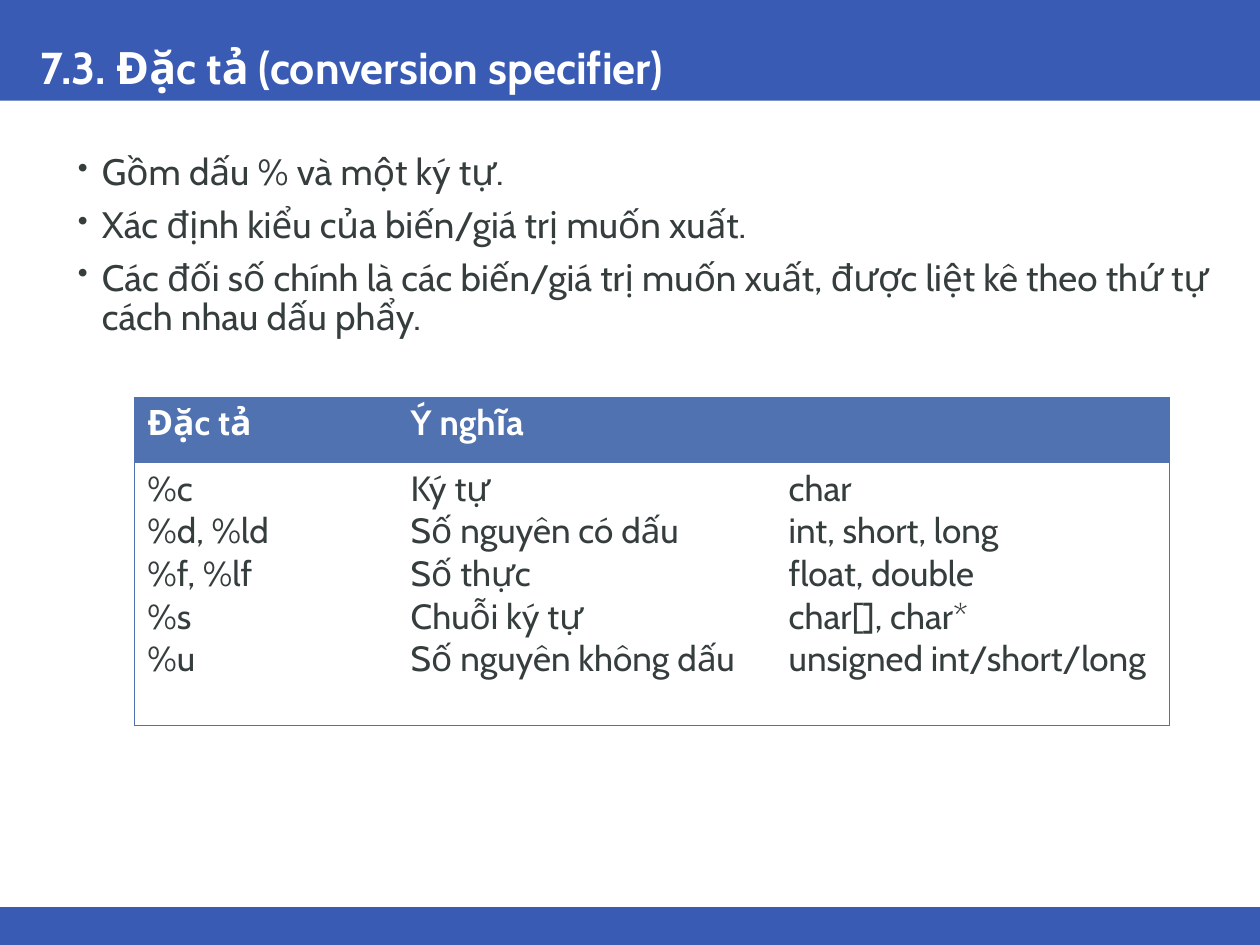
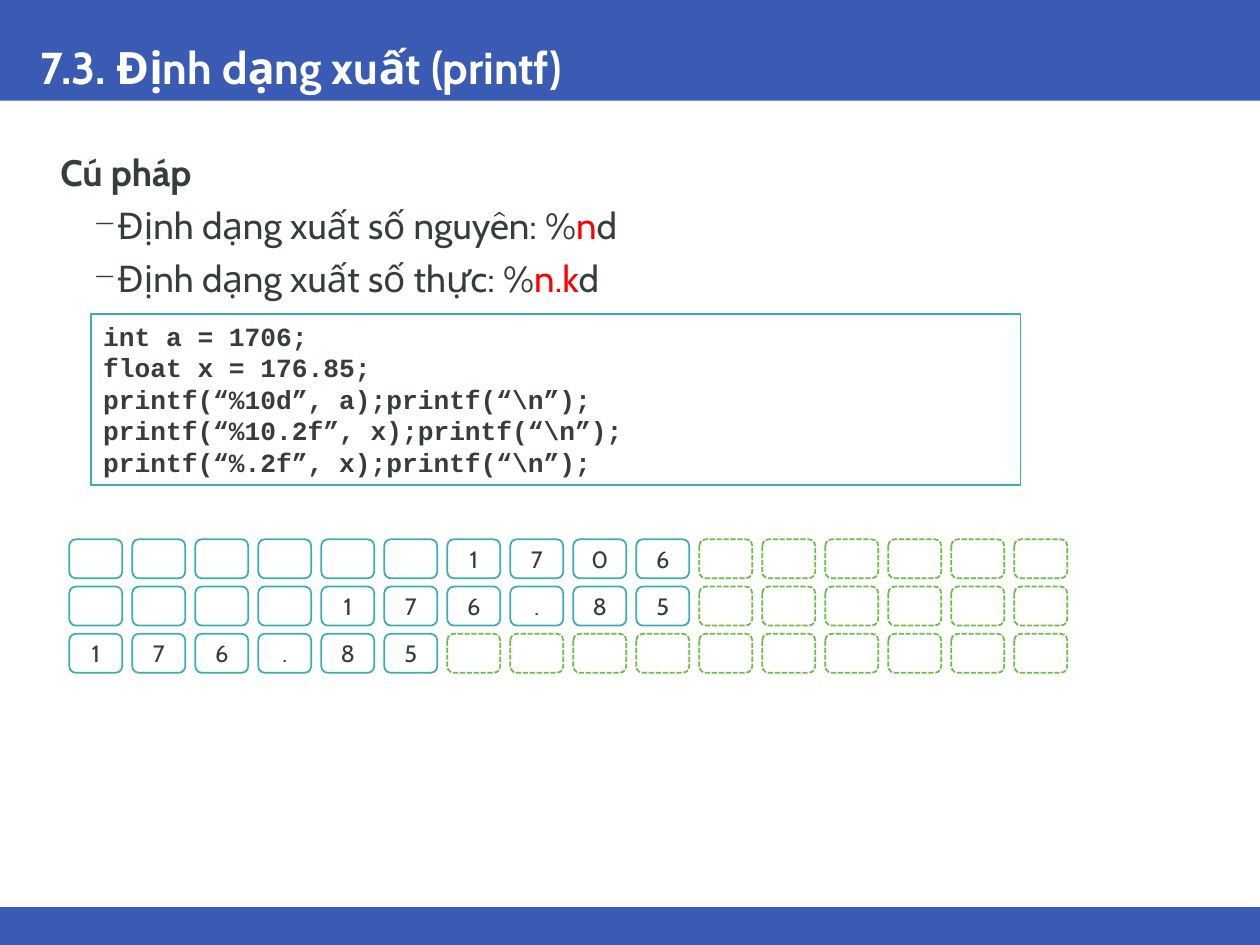
from dataclasses import dataclass

from lxml import etree
from pptx import Presentation
from pptx.dml.color import RGBColor
from pptx.enum.dml import MSO_LINE
from pptx.enum.shapes import MSO_SHAPE
from pptx.enum.text import MSO_ANCHOR, MSO_AUTO_SIZE, PP_ALIGN
from pptx.oxml.ns import qn
from pptx.util import Inches, Pt

RECTANGLE = MSO_SHAPE.RECTANGLE
ROUNDED = MSO_SHAPE.ROUNDED_RECTANGLE
DASHED = MSO_LINE.SQUARE_DOT
TOP, MIDDLE, BOTTOM = MSO_ANCHOR.TOP, MSO_ANCHOR.MIDDLE, MSO_ANCHOR.BOTTOM
LEFT, CENTER = PP_ALIGN.LEFT, PP_ALIGN.CENTER
GROW = MSO_AUTO_SIZE.SHAPE_TO_FIT_TEXT


@dataclass(frozen=True)
class Theme:
    band: str = "3A5BB3"
    table: str = "5172B1"
    text: str = "363D3D"
    white: str = "FFFFFF"
    accent: str = "FF0000"
    used: str = "3AAFB2"
    unused: str = "6ABD45"
    font: str = "Cabin"
    code_font: str = "Courier New"
    title_size: float = 25.5
    body_size: float = 21
    table_size: float = 20
    code_size: float = 15
    digit_size: float = 13.5


THEME = Theme()

SPECIFIER_HEADER = ["Đặc tả", "Ý nghĩa", ""]
SPECIFIERS = [
    ("%c", "Ký tự", "char"),
    ("%d, %ld", "Số nguyên có dấu", "int, short, long"),
    ("%f, %lf", "Số thực", "float, double"),
    ("%s", "Chuỗi ký tự", "char[], char*"),
    ("%u", "Số nguyên không dấu", "unsigned int/short/long"),
]
PRINTF_CODE = [
    "int a = 1706;",
    "float x = 176.85;",
    r"printf(“%10d”, a);printf(“\n”);",
    r"printf(“%10.2f”, x);printf(“\n”);",
    r"printf(“%.2f”, x);printf(“\n”);",
]
PRINTED_LINES = ["1706".rjust(10), "176.85".rjust(10), "176.85"]
PRINT_COLUMNS = 16


def rgb(value):
    return RGBColor.from_string(value)


def format_run(run, size, color=THEME.text, bold=False, font=THEME.font):
    run.font.name = font
    run.font.size = Pt(size)
    run.font.bold = bold
    run.font.color.rgb = rgb(color)


def add_box(slide, kind, box, fill, line=None):
    shape = slide.shapes.add_shape(kind, *map(Inches, box))
    shape.shadow.inherit = False
    shape.fill.solid()
    shape.fill.fore_color.rgb = rgb(fill)
    if line:
        shape.line.color.rgb = rgb(line)
        shape.line.width = Pt(1)
    else:
        shape.line.fill.background()
    return shape


def add_text_area(slide, box, anchor=TOP):
    text_frame = slide.shapes.add_textbox(*map(Inches, box)).text_frame
    text_frame.word_wrap = True
    text_frame.vertical_anchor = anchor
    return text_frame


def set_lines(text_frame, lines, size, **style):
    text_frame.text = "\n".join(lines)
    for paragraph in text_frame.paragraphs:
        for run in paragraph.runs:
            format_run(run, size, **style)


def indent(paragraph, margin, hanging=0, bullet=None):
    properties = paragraph._p.get_or_add_pPr()
    properties.set("marL", str(Inches(margin)))
    properties.set("indent", str(-Inches(hanging)))
    if bullet:
        etree.SubElement(properties, qn("a:buSzPct"), val="80000")
        etree.SubElement(properties, qn("a:buChar"), char=bullet)


def add_body(slide, box, items, bullet, heading=None):
    text_frame = add_text_area(slide, box)
    entries = [[(item, THEME.text)] if isinstance(item, str) else item for item in items]
    if heading:
        entries.insert(0, [(heading, THEME.text)])
    for index, spans in enumerate(entries):
        is_heading = bool(heading) and index == 0
        paragraph = text_frame.add_paragraph() if index else text_frame.paragraphs[0]
        if is_heading:
            indent(paragraph, 0.04)
        else:
            indent(paragraph, 0.49, 0.19, bullet)
        paragraph.line_spacing = 0.9
        if index:
            paragraph.space_before = Pt(7.5)
        for text, color in spans:
            run = paragraph.add_run()
            run.text = text
            format_run(run, THEME.body_size, color, bold=is_heading)


def add_titled_slide(presentation, title):
    slide = presentation.slides.add_slide(presentation.slide_layouts[6])
    add_box(slide, RECTANGLE, (0, 0, 10, 0.8), THEME.band)
    add_box(slide, RECTANGLE, (0, 7.2, 10, 0.3), THEME.band)
    text_frame = add_text_area(slide, (0.22, 0, 9.57, 0.8), BOTTOM)
    set_lines(text_frame, [title], THEME.title_size, color=THEME.white, bold=True)
    text_frame.paragraphs[0].line_spacing = 0.9
    return slide


def set_borders(cell, visible):
    properties = cell._tc.get_or_add_tcPr()
    for side in "LRTB":
        line = etree.SubElement(properties, qn(f"a:ln{side}"), w=str(Pt(0.5)))
        if side in visible:
            fill = etree.SubElement(line, qn("a:solidFill"))
            etree.SubElement(fill, qn("a:srgbClr"), val=THEME.table)
        else:
            etree.SubElement(line, qn("a:noFill"))


def add_specifier_table(slide, box):
    column_widths, row_heights = (2.09, 3, 3.12), (0.52, 2.09)
    table = slide.shapes.add_table(2, 3, *map(Inches, box)).table
    table.first_row = table.horz_banding = False
    for row, height in zip(table.rows, row_heights):
        row.height = Inches(height)
    meanings = zip(*SPECIFIERS)
    for index, (header, lines) in enumerate(zip(SPECIFIER_HEADER, meanings)):
        table.columns[index].width = Inches(column_widths[index])
        outer_side = ("L", "", "R")[index]
        rows = [([header], THEME.table, THEME.white, "T"),
                (lines, THEME.white, THEME.text, "TB")]
        for row_index, (content, fill, color, sides) in enumerate(rows):
            cell = table.cell(row_index, index)
            cell.margin_top = cell.margin_bottom = Inches(0.04)
            set_borders(cell, sides + outer_side)
            cell.fill.solid()
            cell.fill.fore_color.rgb = rgb(fill)
            set_lines(cell.text_frame, content, THEME.table_size,
                      color=color, bold=row_index == 0)


def add_code(slide, box, lines):
    shape = add_box(slide, RECTANGLE, box, THEME.white, THEME.used)
    text_frame = shape.text_frame
    text_frame.word_wrap = True
    text_frame.auto_size = GROW
    text_frame.vertical_anchor = TOP
    set_lines(text_frame, lines, THEME.code_size, bold=True, font=THEME.code_font)
    for paragraph in text_frame.paragraphs:
        paragraph.alignment = LEFT
        paragraph.line_spacing = Pt(18)


def add_print_grid(slide, box, lines):
    left, top, width, height = box
    cell_width, cell_height = 0.42, 0.31
    column_step = (width - cell_width) / (PRINT_COLUMNS - 1)
    row_step = (height - cell_height) / (len(lines) - 1)
    for row, line in enumerate(lines):
        for column in range(PRINT_COLUMNS):
            is_used = column < len(line)
            cell_box = (left + column * column_step, top + row * row_step,
                        cell_width, cell_height)
            shape = add_box(slide, ROUNDED, cell_box, THEME.white,
                            THEME.used if is_used else THEME.unused)
            if not is_used:
                shape.line.dash_style = DASHED
            elif line[column] != " ":
                text_frame = shape.text_frame
                text_frame.word_wrap = False
                text_frame.vertical_anchor = MIDDLE
                set_lines(text_frame, [line[column]], THEME.digit_size)
                text_frame.paragraphs[0].alignment = CENTER


def build_specifier_slide(presentation):
    slide = add_titled_slide(presentation, "7.3. Đặc tả (conversion specifier)")
    add_body(slide, (0.22, 1.17, 9.57, 3.29), [
        "Gồm dấu % và một ký tự.",
        "Xác định kiểu của biến/giá trị muốn xuất.",
        "Các đối số chính là các biến/giá trị muốn xuất, "
        "được liệt kê theo thứ tự cách nhau dấu phẩy.",
    ], "•")
    add_specifier_table(slide, (1.07, 3.15, 8.21, 2.61))


def build_printf_slide(presentation):
    slide = add_titled_slide(presentation, "7.3. Định dạng xuất (printf)")
    formats = [("Định dạng xuất số nguyên: %", "n"), ("Định dạng xuất số thực: %", "n.k")]
    items = [[(label, THEME.text), (width, THEME.accent), ("d", THEME.text)]
             for label, width in formats]
    add_body(slide, (0.34, 1.18, 7.31, 3.1), items, "─", heading="Cú pháp")
    add_code(slide, (0.72, 2.49, 7.38, 1.36), PRINTF_CODE)
    add_print_grid(slide, (0.55, 4.28, 7.92, 1.06), PRINTED_LINES)


def main():
    presentation = Presentation()
    presentation.slide_width = Inches(10)
    presentation.slide_height = Inches(7.5)
    build_specifier_slide(presentation)
    build_printf_slide(presentation)
    presentation.save("out.pptx")


if __name__ == "__main__":
    main()
